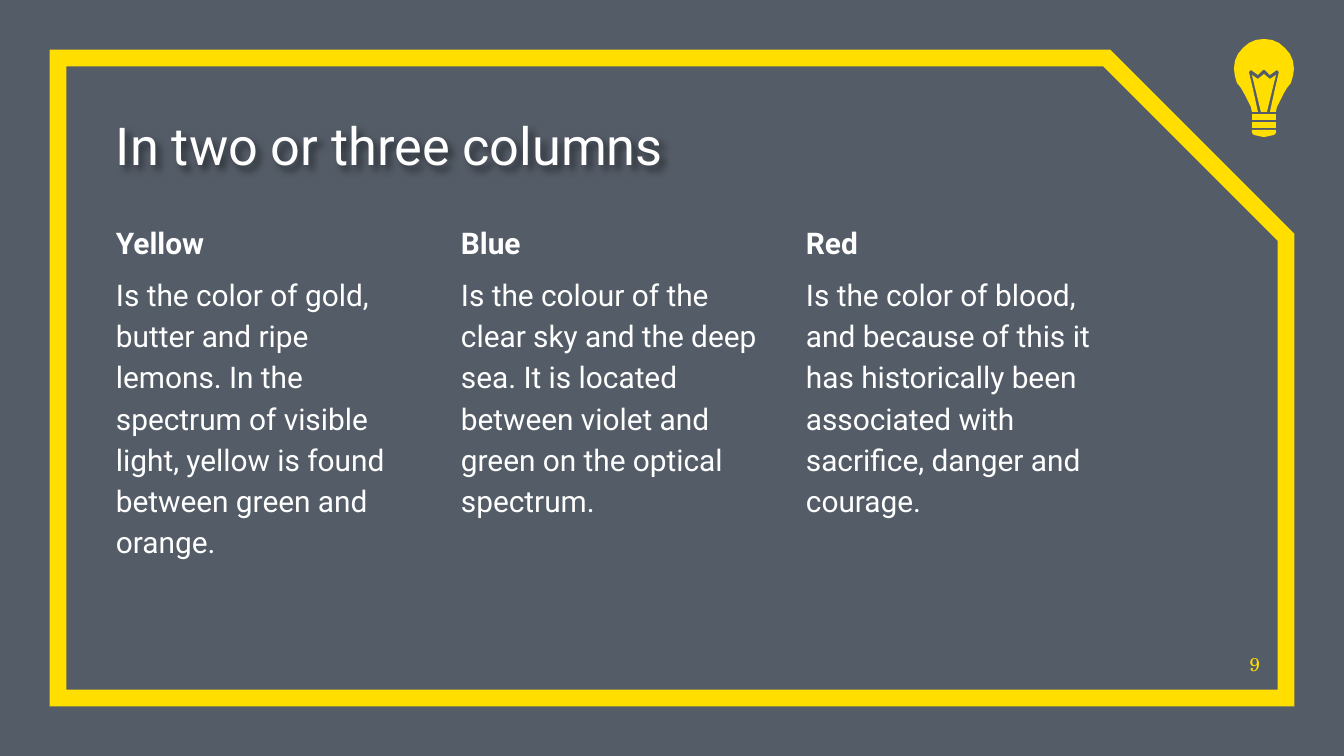
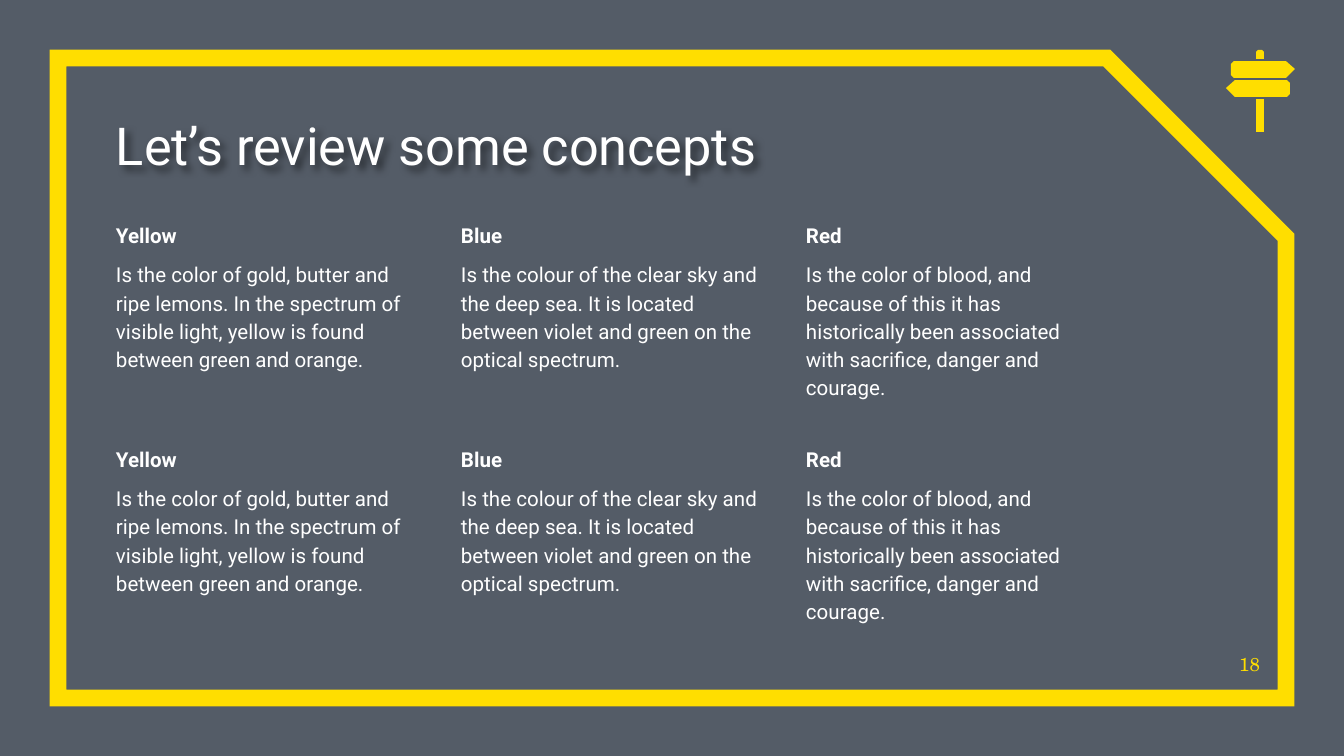
from dataclasses import dataclass

from lxml.etree import SubElement
from pptx import Presentation
from pptx.dml.color import RGBColor as RGB
from pptx.enum.shapes import MSO_SHAPE as SHAPE
from pptx.enum.text import MSO_ANCHOR as ANCHOR, MSO_AUTO_SIZE as AUTO, PP_ALIGN as ALIGN
from pptx.oxml.ns import qn
from pptx.util import Pt

PX = 914400 / 134.4


@dataclass(frozen=True)
class Theme:
    back: RGB = RGB(0x54, 0x5C, 0x67)
    accent: RGB = RGB(0xFF, 0xDE, 0x00)
    text: RGB = RGB(0xFF, 0xFF, 0xFF)
    font: str = "Roboto"
    number_font: str = "TeX Gyre Schola"
    title_size: int = 28
    large: int = 16
    small: int = 11
    number_size: int = 10
    frame_width: int = 9


THEME = Theme()

COLORS = [
    ("Yellow", "Is the color of gold, butter and ripe lemons. In the spectrum of "
               "visible light, yellow is found between green and orange."),
    ("Blue", "Is the colour of the clear sky and the deep sea. It is located "
             "between violet and green on the optical spectrum."),
    ("Red", "Is the color of blood, and because of this it has historically been "
            "associated with sacrifice, danger and courage."),
]


def mirrored(half):
    return half + [(-x, y) for x, y in reversed(half)]


BOARD = [(-26, 61), (26, 61), (35, 69), (26, 78), (-26, 78), (-29, 75), (-29, 64)]

BULB = (1264, [mirrored(half) for half in (
    [(0, 39), (8, 40), (15, 43), (21, 48), (26, 54), (29, 61), (30, 69),
     (29, 76), (27, 83), (23, 88), (19, 95), (16, 101), (13, 107), (12, 112),
     (6, 112), (11, 89), (15, 72), (13, 70), (6, 75), (1, 70)],
    [(0, 74), (6, 79), (12, 75), (3, 112)],
    [(12, 114), (12, 120)],
    [(12, 122), (12, 128)],
    [(12, 130), (12, 133), (10, 135), (1, 137)],
)])
SIGNPOST = (1260, [
    BOARD,
    [(1 - x, y + 19) for x, y in BOARD],
    mirrored([(2, 50), (4, 52), (4, 59)]),
    mirrored([(4, 99), (4, 132)]),
])

SLIDES = [
    dict(title="In two or three columns", number="9", icon=BULB,
         rows=[COLORS], size=THEME.large, height=418),
    dict(title="Let’s review some concepts", number="18", icon=SIGNPOST,
         rows=[COLORS, COLORS], size=THEME.small, height=192),
]

FRAME = (58, 58, 1228, 640)
TITLE = (116, 105, 988, 71)
NUMBER = (1224, 637, 36, 38)
LEFT, TOP = 116, 219
COLUMN_WIDTH, COLUMN_STEP, ROW_STEP = 297, 345, 224


def emu(*lengths):
    return [round(n * PX) for n in lengths]


def set_frame(tf, anchor=ANCHOR.TOP):
    tf.margin_left = tf.margin_right = tf.margin_top = tf.margin_bottom = 0
    tf.word_wrap = True
    tf.auto_size = AUTO.NONE
    tf.vertical_anchor = anchor


def add_run(p, text, size, color=THEME.text, font=THEME.font, bold=False):
    r = p.add_run()
    r.text = text
    r.font.size = Pt(size)
    r.font.bold = bold
    r.font.color.rgb = color
    r.font.name = font


def add_border(slide):
    sp = slide.shapes.add_shape(SHAPE.SNIP_1_RECTANGLE, *emu(*FRAME))
    sp.adjustments[0] = 0.28
    sp.shadow.inherit = False
    sp.fill.background()
    sp.line.color.rgb = THEME.accent
    sp.line.width = Pt(THEME.frame_width)
    ln = sp.element.spPr.find(qn("a:ln"))
    SubElement(ln, qn("a:miter"), lim="800000")


def add_title(slide, text):
    sp = slide.shapes.title
    sp.left, sp.top, sp.width, sp.height = emu(*TITLE)
    set_frame(sp.text_frame, ANCHOR.BOTTOM)
    p = sp.text_frame.paragraphs[0]
    p.alignment = ALIGN.LEFT
    add_run(p, text, THEME.title_size)
    effects = SubElement(sp.element.spPr, qn("a:effectLst"))
    shadow = SubElement(effects, qn("a:outerShdw"), blurRad="50800", dist="38100",
                        dir="2700000", algn="tl", rotWithShape="0")
    color = SubElement(shadow, qn("a:srgbClr"), val="000000")
    SubElement(color, qn("a:alpha"), val="50000")


def add_column(slide, box, heading, body, size):
    tf = slide.shapes.add_textbox(*emu(*box)).text_frame
    set_frame(tf)
    first, second = tf.paragraphs[0], tf.add_paragraph()
    first.line_spacing = second.line_spacing = 1.15
    second.space_before = Pt(6)
    add_run(first, heading, size, bold=True)
    add_run(second, body, size)


def add_number(slide, number):
    tf = slide.shapes.add_textbox(*emu(*NUMBER)).text_frame
    set_frame(tf, ANCHOR.BOTTOM)
    p = tf.paragraphs[0]
    p.alignment = ALIGN.RIGHT
    add_run(p, number, THEME.number_size, THEME.accent, THEME.number_font)


def add_icon(slide, axis, outlines):
    group = slide.shapes.add_group_shape()
    for outline in outlines:
        points = [(axis + x, y) for x, y in outline]
        builder = group.shapes.build_freeform(*points[0], scale=PX)
        builder.add_line_segments(points[1:], close=True)
        sp = builder.convert_to_shape()
        sp.shadow.inherit = False
        sp.fill.solid()
        sp.fill.fore_color.rgb = THEME.accent
        sp.line.fill.background()


def main():
    prs = Presentation()
    prs.slide_width, prs.slide_height = emu(1344, 756)
    back = prs.slide_master.background.fill
    back.solid()
    back.fore_color.rgb = THEME.back
    for content in SLIDES:
        slide = prs.slides.add_slide(prs.slide_layouts.get_by_name("Title Only"))
        add_border(slide)
        add_title(slide, content["title"])
        for i, row in enumerate(content["rows"]):
            for j, (heading, body) in enumerate(row):
                box = (LEFT + j * COLUMN_STEP, TOP + i * ROW_STEP,
                       COLUMN_WIDTH, content["height"])
                add_column(slide, box, heading, body, content["size"])
        add_number(slide, content["number"])
        add_icon(slide, *content["icon"])
    prs.save("out.pptx")


if __name__ == "__main__":
    main()
